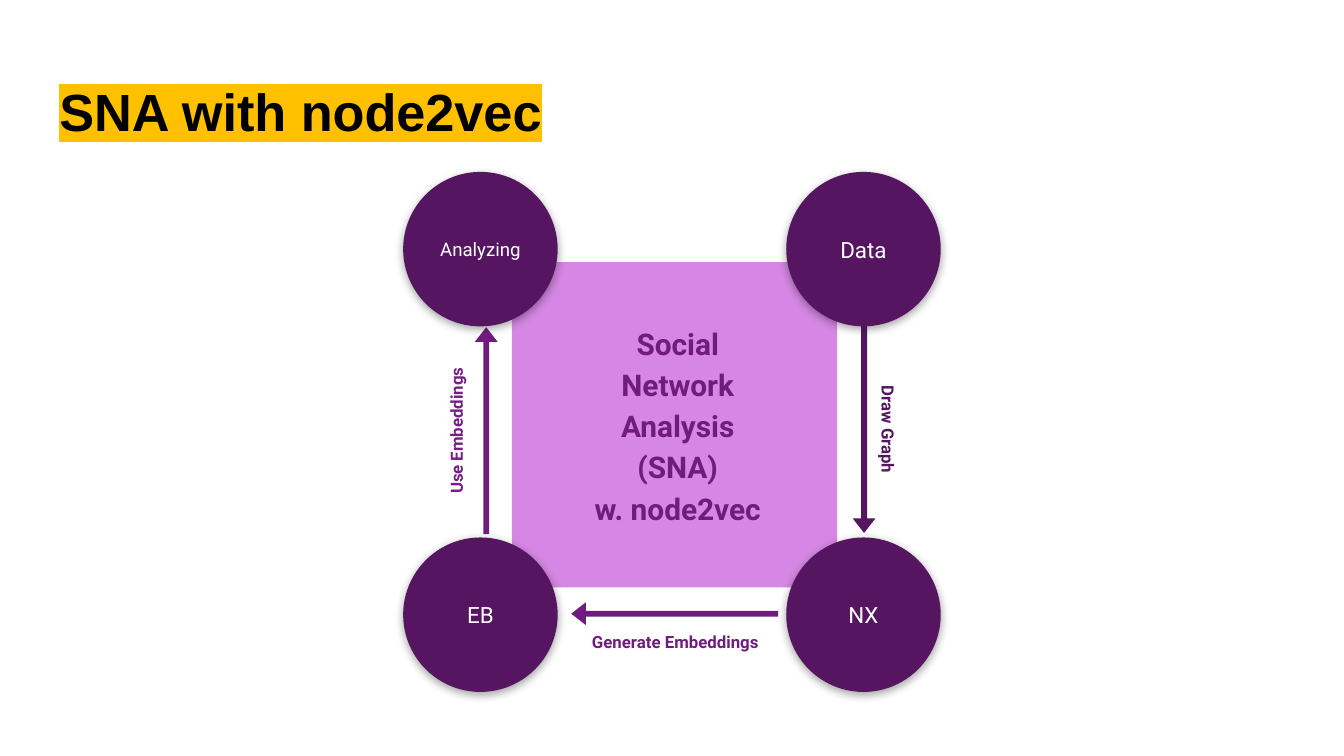
from lxml import etree
from pptx import Presentation
from pptx.dml.color import RGBColor
from pptx.enum.shapes import MSO_SHAPE
from pptx.enum.text import MSO_ANCHOR, PP_ALIGN
from pptx.oxml import parse_xml
from pptx.oxml.ns import nsdecls, qn
from pptx.util import Cm, Pt

OVAL, RECT, ARROW = MSO_SHAPE.OVAL, MSO_SHAPE.RECTANGLE, MSO_SHAPE.RIGHT_ARROW
TOP, MIDDLE = MSO_ANCHOR.TOP, MSO_ANCHOR.MIDDLE
LEFT, CENTER = PP_ALIGN.LEFT, PP_ALIGN.CENTER

BLACK = RGBColor(0x00, 0x00, 0x00)
WHITE = RGBColor(0xFF, 0xFF, 0xFF)
DARK = RGBColor(0x55, 0x15, 0x61)
PURPLE = RGBColor(0x70, 0x1C, 0x7F)
PLUM = RGBColor(0x76, 0x1E, 0x86)
LILAC = RGBColor(0xD6, 0x86, 0xE4)
AMBER = RGBColor(0xFF, 0xC0, 0x00)

TITLE = "SNA with node2vec"
TOPIC = ["Social Network Analysis", "(SNA)", "w. node2vec"]

# Stages: text, column, row, font size
STAGES = [
    ("Data", 1, 0, 12),
    ("NX", 1, 1, 12),
    ("EB", 0, 1, 12),
    ("Analyzing", 0, 0, 10),
]
# Steps: text, label centre, label turn, label colour, arrow centre, arrow turn, arrow colour
STEPS = [
    ("Draw Graph", (16.76, 8.12), 90, DARK, (16.33, 8.12), 90, DARK),
    ("Generate Embeddings", (12.76, 12.15), 0, PURPLE, (12.75, 11.6), 180, PURPLE),
    ("Use Embeddings", (8.65, 8.14), 270, PLUM, (9.19, 8.14), 270, PURPLE),
]

COLUMNS = (9.08, 16.32)
ROWS = (4.71, 11.62)
STAGE_SIZE = (2.92, 2.92)
SQUARE_CENTRE, SQUARE_SIZE = (12.75, 8.03), (6.15, 6.15)
TOPIC_CENTRE, TOPIC_SIZE = (12.81, 8), (3.78, 4.32)
ARROW_SIZE = (3.91, 0.43)
LABEL_SIZE = (3.86, 0.99)
INSET = Cm(0.25)


def box_around(centre, size):
    (x, y), (width, height) = centre, size
    return Cm(x - width / 2), Cm(y - height / 2), Cm(width), Cm(height)


def write(shape, lines, size, color, font="Roboto", bold=False,
          align=CENTER, anchor=TOP, spacing=None):
    frame = shape.text_frame
    frame.word_wrap = True
    frame.vertical_anchor = anchor
    frame.margin_left = frame.margin_right = INSET
    frame.margin_top = frame.margin_bottom = INSET
    for index, line in enumerate(lines):
        paragraph = frame.add_paragraph() if index else frame.paragraphs[0]
        paragraph.alignment = align
        paragraph.line_spacing = spacing
        run = paragraph.add_run()
        run.text = line
        run.font.size = Pt(size)
        run.font.bold = bold
        run.font.color.rgb = color
        run.font.name = font


def add_figure(slide, preset, centre, size, color):
    figure = slide.shapes.add_shape(preset, *box_around(centre, size))
    figure.shadow.inherit = False
    figure.fill.solid()
    figure.fill.fore_color.rgb = color
    figure.line.fill.background()
    return figure


def add_caption(slide, centre, size, lines, points, color, anchor=TOP):
    caption = slide.shapes.add_textbox(*box_around(centre, size))
    write(caption, lines, points, color, bold=True, anchor=anchor, spacing=1.15)
    return caption


def cast_shadow(figure):
    effects = figure._element.spPr.find(qn("a:effectLst"))
    effects.append(parse_xml(
        f'<a:outerShdw {nsdecls("a")} blurRad="{Pt(4.5)}" dist="{Pt(1.5)}" '
        'dir="5400000" algn="bl" rotWithShape="0"><a:srgbClr val="212121">'
        '<a:alpha val="38000"/></a:srgbClr></a:outerShdw>'))


def highlight(run, color):
    mark = etree.Element(qn("a:highlight"))
    etree.SubElement(mark, qn("a:srgbClr"), val=str(color))
    run.font._element.find(qn("a:solidFill")).addnext(mark)


def main():
    deck = Presentation()
    deck.slide_width, deck.slide_height = Cm(25.4), Cm(14.29)
    slide = deck.slides.add_slide(deck.slide_layouts[5])

    title = slide.shapes.title
    title.left, title.top, title.width, title.height = Cm(0.87), Cm(1.24), Cm(23.67), Cm(1.6)
    write(title, [TITLE], 28, BLACK, font="Arial", bold=True, align=LEFT)
    highlight(title.text_frame.paragraphs[0].runs[0], AMBER)

    add_figure(slide, RECT, SQUARE_CENTRE, SQUARE_SIZE, LILAC)
    add_caption(slide, TOPIC_CENTRE, TOPIC_SIZE, TOPIC, 16, PURPLE, MIDDLE)

    for text, label_centre, label_turn, label_color, arrow_centre, arrow_turn, arrow_color in STEPS:
        label = add_caption(slide, label_centre, LABEL_SIZE, [text], 9, label_color)
        label.rotation = label_turn
        arrow = add_figure(slide, ARROW, arrow_centre, ARROW_SIZE, arrow_color)
        arrow.rotation = arrow_turn
        arrow.adjustments[0], arrow.adjustments[1] = 0.26, 0.64

    for text, column, row, points in STAGES:
        stage = add_figure(slide, OVAL, (COLUMNS[column], ROWS[row]), STAGE_SIZE, DARK)
        cast_shadow(stage)
        write(stage, [text], points, WHITE, anchor=MIDDLE)

    deck.save("out.pptx")


if __name__ == "__main__":
    main()
